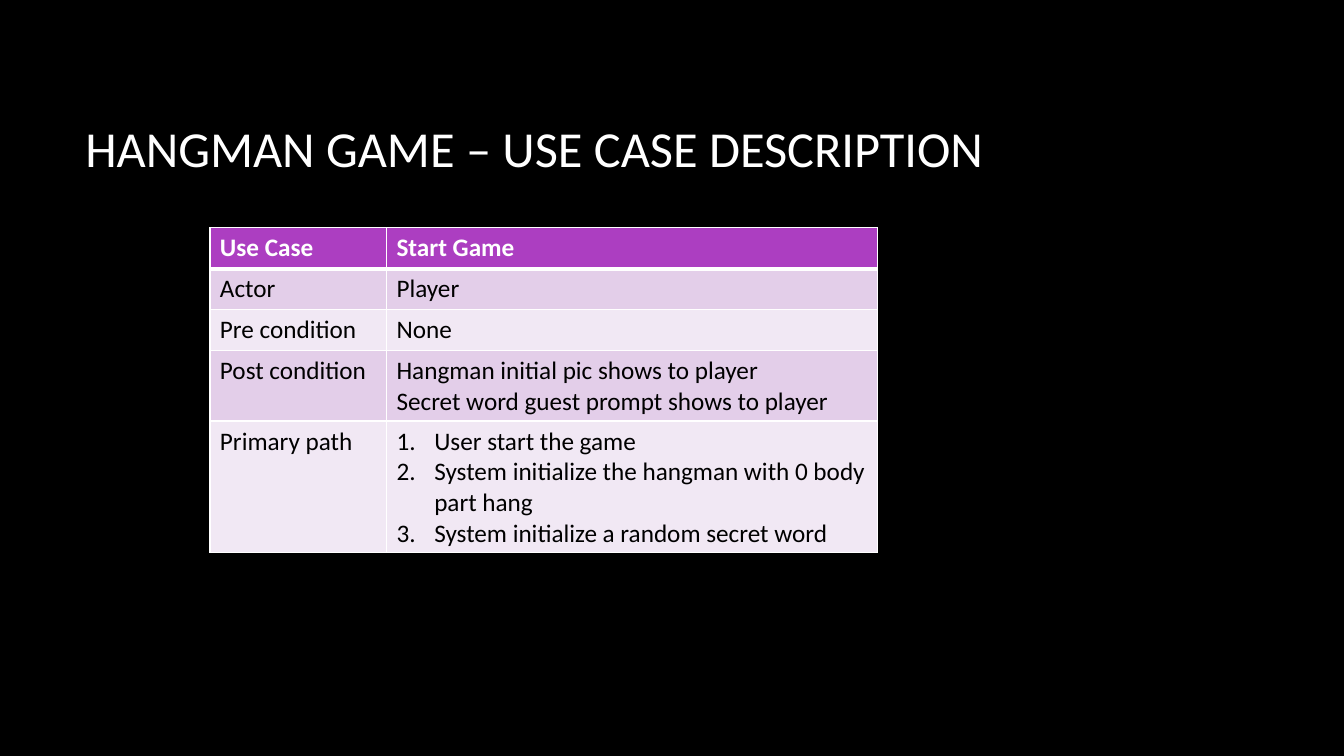
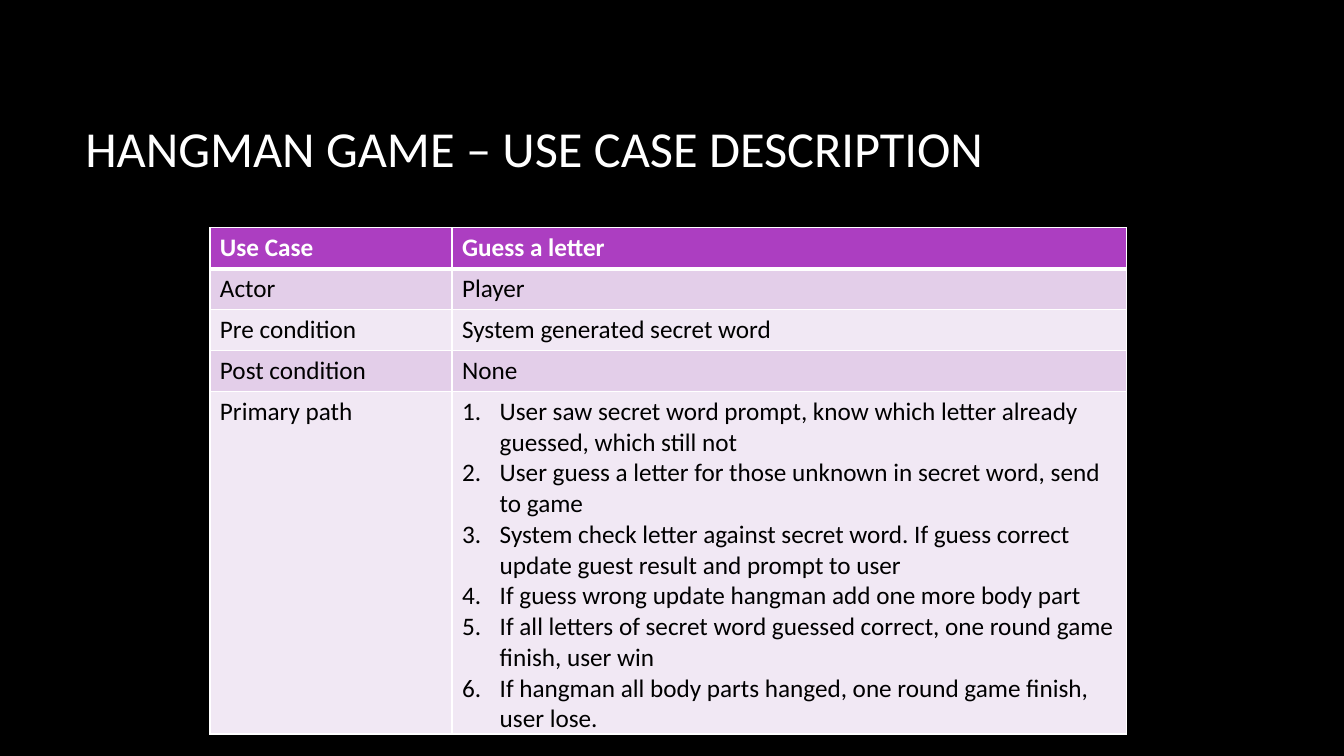
from lxml import etree
from pptx import Presentation
from pptx import util as u
from pptx.dml import color
from pptx.enum import text
from pptx.oxml import ns

COLORS = {
    "background": "000000",
    "title": "FFFFFF",
    "border": "FFFFFF",
    "header": "AC3EC1",
    "header_text": "FFFFFF",
    "body_text": "000000",
    "odd_row": "E3CEE9",
    "even_row": "F1E8F4",
}
FONT = "Calibri"
TITLE = "HANGMAN GAME – USE CASE DESCRIPTION"
TITLE_BOX = (u.Cm(1.9), u.Cm(1.7), u.Cm(28.15), u.Cm(4.04))
TABLE_LEFT, TABLE_TOP = u.Cm(5.29), u.Cm(5.74)
ROW_HEIGHT = u.Cm(1.03)
NUMBER_INDENT = u.Cm(0.95)
LABELS = ["Use Case", "Actor", "Pre condition", "Post condition", "Primary path"]

# Each use case: column widths in cm, then the lines of each row's second cell
USE_CASES = [
    ((4.45, 12.37), [
        ["Start Game"],
        ["Player"],
        ["None"],
        ["Hangman initial pic shows to player",
         "Secret word guest prompt shows to player"],
        ["User start the game",
         "System initialize the hangman with 0 body part hang",
         "System initialize a random secret word"],
    ]),
    ((6.1, 17), [
        ["Guess a letter"],
        ["Player"],
        ["System generated secret word"],
        ["None"],
        ["User saw secret word prompt, know which letter already guessed, which still not",
         "User guess a letter for those unknown in secret word, send to game",
         "System check letter against secret word. If guess correct update guest result "
         "and prompt to user",
         "If guess wrong update hangman add one more body part",
         "If all letters of secret word guessed correct, one round game finish, user win",
         "If hangman all body parts hanged, one round game finish, user lose."],
    ]),
]


def rgb(name):
    return color.RGBColor.from_string(COLORS[name])


def add_span(para, words, size, color_name, bold=False):
    span = para.add_run()
    span.text = words
    span.font.name = FONT
    span.font.size = u.Pt(size)
    span.font.bold = bold
    span.font.color.rgb = rgb(color_name)


def number_paragraph(para):
    properties = para._p.get_or_add_pPr()
    properties.set("marL", str(NUMBER_INDENT))
    properties.set("indent", str(-NUMBER_INDENT))
    etree.SubElement(properties, ns.qn("a:buAutoNum"), type="arabicPeriod")


def set_borders(cell, top, bottom):
    """Draw all four cell borders; top and bottom are widths in points."""
    properties = cell._tc.get_or_add_tcPr()
    for side, width in (("L", 1), ("R", 1), ("T", top), ("B", bottom)):
        line = etree.SubElement(properties, ns.qn(f"a:ln{side}"), w=str(u.Pt(width)))
        fill = etree.SubElement(line, ns.qn("a:solidFill"))
        etree.SubElement(fill, ns.qn("a:srgbClr"), val=COLORS["border"])


def fill_cell(cell, row, lines, numbered):
    is_header = row == 0
    set_borders(cell, top=3 if row == 1 else 1, bottom=3 if is_header else 1)
    fill_name = "header" if is_header else "odd_row" if row % 2 else "even_row"
    cell.fill.solid()
    cell.fill.fore_color.rgb = rgb(fill_name)
    frame = cell.text_frame
    for index, line in enumerate(lines):
        para = frame.add_paragraph() if index else frame.paragraphs[0]
        if numbered:
            number_paragraph(para)
        add_span(para, line, 18, "header_text" if is_header else "body_text", is_header)


def add_title(page, left, top, width, height):
    frame = page.shapes.add_textbox(left, top, width, height).text_frame
    frame.word_wrap = True
    frame.vertical_anchor = text.MSO_ANCHOR.MIDDLE
    add_span(frame.paragraphs[0], TITLE, 36, "title")


def add_use_case_table(page, left, top, widths, details):
    rows = len(LABELS)
    table = page.shapes.add_table(
        rows, 2, left, top, u.Cm(sum(widths)), ROW_HEIGHT * rows).table
    for column, width in zip(table.columns, widths):
        column.width = u.Cm(width)
    for row, (label, lines) in enumerate(zip(LABELS, details)):
        fill_cell(table.cell(row, 0), row, [label], numbered=False)
        fill_cell(table.cell(row, 1), row, lines, numbered=row == rows - 1)


def main():
    deck = Presentation()
    deck.slide_width, deck.slide_height = u.Cm(33.87), u.Cm(19.05)
    background = deck.slide_master.background.fill
    background.solid()
    background.fore_color.rgb = rgb("background")
    for widths, details in USE_CASES:
        page = deck.slides.add_slide(deck.slide_layouts[6])
        add_title(page, *TITLE_BOX)
        add_use_case_table(page, TABLE_LEFT, TABLE_TOP, widths, details)
    deck.save("out.pptx")


if __name__ == "__main__":
    main()
